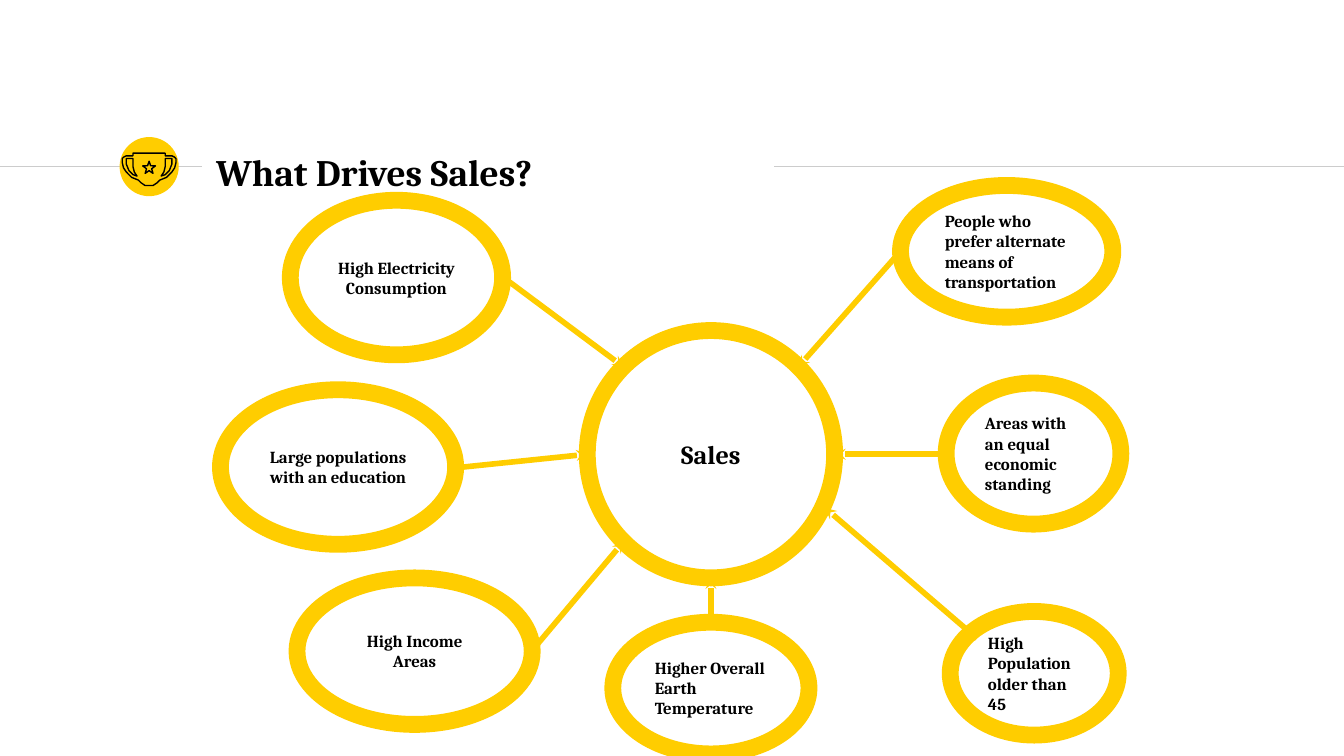
from math import cos, pi, sin

from pptx import Presentation
from pptx.dml.color import RGBColor
from pptx.enum.shapes import MSO_CONNECTOR, MSO_SHAPE
from pptx.enum.text import MSO_ANCHOR, PP_ALIGN
from pptx.oxml.ns import qn
from pptx.util import Inches, Pt
from lxml import etree

OVAL = MSO_SHAPE.OVAL
STRAIGHT = MSO_CONNECTOR.STRAIGHT
MIDDLE = MSO_ANCHOR.MIDDLE
LEFT, CENTER = PP_ALIGN.LEFT, PP_ALIGN.CENTER

COLORS = {"accent": "FFCD00", "rule": "CCCCCC", "ink": "000000"}
FONT = "Cambria"

# Text, oval (left, top, width, height), alignment, arrow start, arrow end at Sales
DRIVERS = [
    ("Large populations with an education", (1.64, 2.9, 1.75, 1.15), CENTER,
     (3.4, 3.48), (4.37, 3.38)),
    ("Areas with an equal economic standing", (7.04, 2.85, 1.3, 1.05), LEFT,
     (7.04, 3.38), (6.21, 3.38)),
    ("High Population older than 45", (7.07, 4.55, 1.25, 0.92), LEFT,
     (7.27, 4.75), (6.14, 3.78)),
    ("Higher Overall Earth Temperature", (4.56, 4.63, 1.46, 0.98), LEFT,
     (5.29, 4.63), (5.29, 4.3)),
    ("High Income Areas", (2.21, 4.3, 1.75, 1.09), CENTER,
     (3.96, 4.84), (4.64, 4.03)),
    ("People who prefer alternate means of transportation",
     (6.7, 1.38, 1.58, 0.98), LEFT, (6.7, 1.87), (5.94, 2.73)),
    ("High Electricity Consumption", (2.16, 1.49, 1.58, 1.15), CENTER,
     (3.74, 2.06), (4.64, 2.73)),
]

# Left half of the trophy; the right half is its mirror image
TROPHY_X = 1.11
CUP_HALF = [(1, 1.14), (0.99, 1.14), (0.99, 1.16), (0.94, 1.16), (0.92, 1.17),
            (0.91, 1.18), (0.91, 1.21), (0.92, 1.25), (0.94, 1.28),
            (0.98, 1.32), (1.03, 1.34), (1.05, 1.36), (1.08, 1.38), (1.11, 1.38)]
HANDLE = [(0.94, 1.18), (0.99, 1.18), (0.99, 1.24), (1, 1.28), (1.02, 1.31),
          (0.99, 1.3), (0.96, 1.27), (0.94, 1.22)]


def color(name):
    return RGBColor.from_string(COLORS[name])


def write(shape, text, size, align):
    frame = shape.text_frame
    frame.word_wrap = True
    frame.vertical_anchor = MIDDLE
    frame.margin_left = frame.margin_right = Inches(0.1)
    frame.margin_top = frame.margin_bottom = Inches(0.1)
    paragraph = frame.paragraphs[0]
    paragraph.alignment = align
    run = paragraph.add_run()
    run.text = text
    run.font.name = FONT
    run.font.size = Pt(size)
    run.font.bold = True
    run.font.color.rgb = color("ink")
    return paragraph


def add_line(slide, start, end, line_color, width, arrow=False):
    line = slide.shapes.add_connector(
        STRAIGHT, *(Inches(value) for value in (*start, *end)))
    line.line.color.rgb = color(line_color)
    line.line.width = Pt(width)
    if arrow:
        etree.SubElement(line.line._get_or_add_ln(), qn("a:tailEnd"),
                         type="stealth", w="sm", len="sm")
    etree.SubElement(line._element.spPr, qn("a:effectLst"))


def add_oval(slide, box):
    oval = slide.shapes.add_shape(OVAL, *(Inches(value) for value in box))
    oval.shadow.inherit = False
    return oval


def add_ring(slide, text, box, size, align):
    ring = add_oval(slide, box)
    ring.fill.background()
    ring.line.color.rgb = color("accent")
    ring.line.width = Pt(9)
    write(ring, text, size, align)


def mirror(points):
    return [(2 * TROPHY_X - x, y) for x, y in reversed(points)]


def star(center_x, center_y, outer, inner):
    radii = [outer, inner] * 5
    return [(center_x + radius * sin(i * pi / 5), center_y - radius * cos(i * pi / 5))
            for i, radius in enumerate(radii)]


def add_trophy(slide):
    badge = add_oval(slide, (0.89, 1.02, 0.44, 0.44))
    badge.fill.solid()
    badge.fill.fore_color.rgb = color("accent")
    badge.line.fill.background()

    contours = [CUP_HALF + mirror(CUP_HALF), HANDLE, mirror(HANDLE),
                star(TROPHY_X, 1.25, 0.05, 0.02)]
    builder = None
    for contour in contours:
        first, *rest = [(Inches(x), Inches(y)) for x, y in contour]
        if builder is None:
            builder = slide.shapes.build_freeform(*first)
        else:
            builder.move_to(*first)
        builder.add_line_segments(rest, close=True)
    trophy = builder.convert_to_shape()
    trophy.shadow.inherit = False
    trophy.fill.background()
    trophy.line.color.rgb = color("ink")
    trophy.line.width = Pt(0.75)


def add_title(slide, text):
    title = slide.shapes.add_textbox(
        Inches(1.51), Inches(1.01), Inches(4.24), Inches(0.48))
    write(title, text, 20, LEFT).line_spacing = 1.15


def main():
    # Widescreen, 16:9
    deck = Presentation()
    deck.slide_width = Inches(10)
    deck.slide_height = Inches(10 * 9 / 16)
    slide = deck.slides.add_slide(deck.slide_layouts[6])

    # Header: rules on both sides of the title, trophy badge
    for start, end in ((0, 1.5), (5.76, 10)):
        add_line(slide, (start, 1.24), (end, 1.24), "rule", 0.75)
    add_title(slide, "What Drives Sales?")
    add_trophy(slide)

    # Sales in the middle, each driver pointing to it
    add_ring(slide, "Sales", (4.37, 2.46, 1.84, 1.84), 14, CENTER)
    for text, box, align, start, end in DRIVERS:
        add_ring(slide, text, box, 9, align)
        add_line(slide, start, end, "accent", 3, arrow=True)

    deck.save("out.pptx")


if __name__ == "__main__":
    main()
